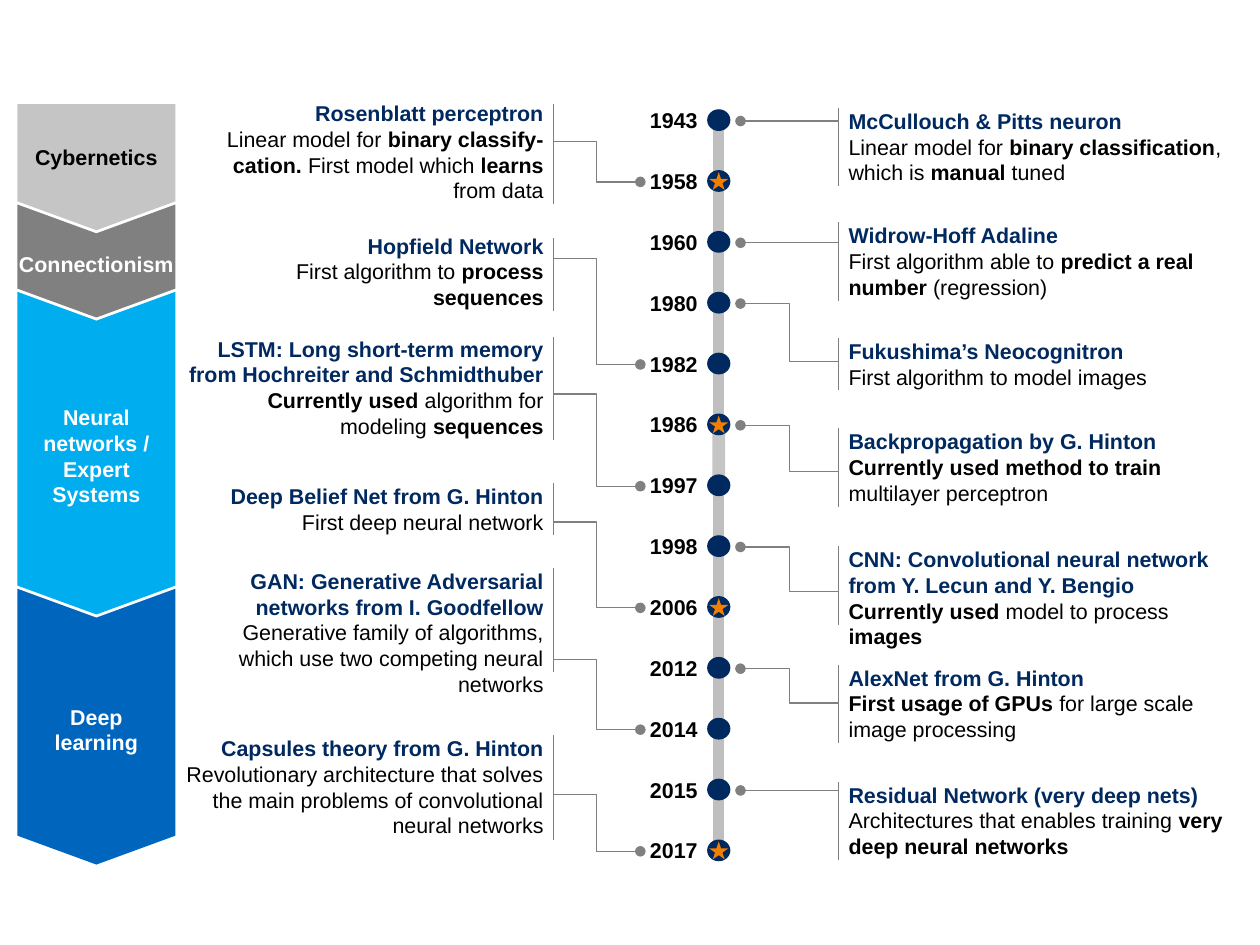
from collections import namedtuple
from dataclasses import dataclass

import lxml.etree
import pptx
import pptx.dml.color
import pptx.enum.shapes
import pptx.enum.text
import pptx.oxml.ns
import pptx.util

Pt = pptx.util.Pt
SHAPE = pptx.enum.shapes.MSO_SHAPE
CONNECTOR = pptx.enum.shapes.MSO_CONNECTOR
ALIGN = pptx.enum.text.PP_ALIGN
ANCHOR = pptx.enum.text.MSO_ANCHOR

Box = namedtuple("Box", "left top width height")
Stage = namedtuple("Stage", "name height fill color side_margin")
# top is measured from the region, exit (where the leader starts) from the entry;
# without an exit the leader runs straight to its year.
Entry = namedtuple("Entry", "year top rule_height exit rule_offset title body")


@dataclass(frozen=True)
class Theme:
    font: str = "Arial"
    size: float = 12
    navy: str = "002960"
    black: str = "000000"
    white: str = "FFFFFF"
    gray: str = "808080"
    silver: str = "C5C5C5"
    axis: str = "BFBFBF"
    cyan: str = "00ADEF"
    blue: str = "0065BD"
    orange: str = "F27F00"
    line: float = 0.75


THEME = Theme()
YEARS = [1943, 1958, 1960, 1980, 1982, 1986, 1997, 1998, 2006, 2012, 2014, 2015, 2017]
MILESTONES = {1958, 1986, 2006, 2017}
FIRST_YEAR, YEAR_STEP = 11.3, 34.08

STAGES = [
    Stage("Cybernetics", 56.2, THEME.silver, THEME.black, 6),
    Stage("Connectionism", 48.9, THEME.gray, THEME.white, 0),
    Stage("Neural networks / Expert Systems", 166.3, THEME.cyan, THEME.white, 6),
    Stage("Deep learning", 140.1, THEME.blue, THEME.white, 6),
]
LEFT_ENTRIES = [
    Entry(1958, 0.2, 56.2, 23, 2, "Rosenblatt perceptron",
          "Linear model for **binary classify-cation. **First model which **learns** from data"),
    Entry(1982, 74.3, 41, 14.4, 3, "Hopfield Network",
          "First algorithm to **process sequences**"),
    Entry(1997, 132, 57.6, 32.7, 0.6,
          "LSTM: Long short-term memory from Hochreiter and Schmidthuber",
          "**Currently used** algorithm for modeling **sequences**"),
    Entry(2006, 214.7, 28.8, 21.6, 0, "Deep Belief Net from G. Hinton",
          "First deep neural network"),
    Entry(2014, 262.2, 58.4, 51.2, 0,
          "GAN: Generative Adversarial networks from I. Goodfellow",
          "Generative family of algorithms, which use two competing neural networks"),
    Entry(2017, 355.8, 58.4, 33.2, 0, "Capsules theory from G. Hinton",
          "Revolutionary architecture that solves the main problems of convolutional "
          "neural networks"),
]
RIGHT_ENTRIES = [
    Entry(1943, 4.5, 43.9, None, 0, "McCullouch & Pitts neuron",
          "Linear model for **binary classification**, which is **manual** tuned"),
    Entry(1960, 68.6, 43.9, None, 0, "Widrow-Hoff Adaline",
          "First algorithm able to **predict a real number** (regression)"),
    Entry(1980, 133.4, 28.8, 12.9, 0, "Fukushima’s Neocognitron",
          "First algorithm to model images"),
    Entry(1986, 183.8, 43.9, 24.4, 0, "Backpropagation by G. Hinton",
          "**Currently used method to train** multilayer perceptron"),
    Entry(1998, 250, 43.9, 25.2, 0,
          "CNN: Convolutional neural network from Y. Lecun and Y. Bengio",
          "**Currently used** model to process **images**"),
    Entry(2012, 316.2, 43.9, 21.6, 0, "AlexNet from G. Hinton",
          "**First usage of GPUs** for large scale image processing"),
    Entry(2015, 381.8, 43.9, None, 0, "Residual Network (very deep nets)",
          "Architectures that enables training **very deep neural networks**"),
]


def rgb(value):
    return pptx.dml.color.RGBColor.from_string(value)


def year_offset(year):
    return FIRST_YEAR + YEARS.index(year) * YEAR_STEP


def write_text(paragraph, text, color=THEME.black, bold=False, align=ALIGN.LEFT):
    """Fill a paragraph; each ** in the text switches bold on or off."""
    paragraph.alignment = align
    for index, part in enumerate(text.split("**")):
        if part:
            run = paragraph.add_run()
            run.text = part
            run.font.name, run.font.size = THEME.font, Pt(THEME.size)
            run.font.bold = bold != (index % 2 == 1)
            run.font.color.rgb = rgb(color)


def set_frame(shape, left=0, top=0, right=0, bottom=0, wrap=True, anchor=ANCHOR.TOP):
    frame = shape.text_frame
    frame.margin_left, frame.margin_top = Pt(left), Pt(top)
    frame.margin_right, frame.margin_bottom = Pt(right), Pt(bottom)
    frame.word_wrap, frame.vertical_anchor = wrap, anchor
    return frame


def add_text_box(slide, box):
    return slide.shapes.add_textbox(*map(Pt, box))


def paint(shape, fill, line=None):
    shape.shadow.inherit = False
    shape.fill.solid()
    shape.fill.fore_color.rgb = rgb(fill)
    if line:
        shape.line.color.rgb = rgb(line)
        shape.line.width = Pt(THEME.line)
    else:
        shape.line.fill.background()


def add_centered(slide, kind, x, y, width, height, fill, line=None):
    box = (x - width / 2, y - height / 2, width, height)
    paint(slide.shapes.add_shape(kind, *map(Pt, box)), fill, line)


def add_line(slide, start, end, kind=CONNECTOR.STRAIGHT, oval_end=False):
    connector = slide.shapes.add_connector(kind, *map(Pt, (*start, *end)))
    connector.line.color.rgb = rgb(THEME.gray)
    connector.line.width = Pt(THEME.line)
    qualified = pptx.oxml.ns.qn
    properties = connector.element.find(qualified("p:spPr"))
    if oval_end:
        outline = properties.find(qualified("a:ln"))
        lxml.etree.SubElement(outline, qualified("a:tailEnd"), type="oval")
    lxml.etree.SubElement(properties, qualified("a:effectLst"))


def add_stages(slide, box):
    """Stack the eras as interlocking downward chevrons."""
    depth, gap = 16.2, 1.8
    right, middle, top = box.left + box.width, box.left + box.width / 2, box.top
    for index, stage in enumerate(STAGES):
        bottom = top + stage.height - gap
        notch = top + depth if index else top
        outline = [(right, top), (right, bottom), (middle, bottom + depth),
                   (box.left, bottom), (box.left, top), (middle, notch)]
        points = [(Pt(x), Pt(y)) for x, y in outline]
        builder = slide.shapes.build_freeform(*points[0])
        builder.add_line_segments(points[1:], close=True)
        chevron = builder.convert_to_shape()
        paint(chevron, stage.fill)
        frame = set_frame(chevron, stage.side_margin, 3 if index else 0, stage.side_margin,
                          0 if index else 11.5, anchor=ANCHOR.MIDDLE)
        write_text(frame.paragraphs[0], stage.name, stage.color, True, ALIGN.CENTER)
        top += stage.height


def add_timeline(slide, box):
    """Draw the axis with its years, dots and milestone stars."""
    center = box.left + box.width - 8
    span = YEAR_STEP * (len(YEARS) - 1)
    add_centered(slide, SHAPE.RECTANGLE, center, box.top + FIRST_YEAR + span / 2,
                 7.2, span + 5, THEME.axis, THEME.white)
    between = (year_offset(1986) + year_offset(1997)) / 2
    add_centered(slide, SHAPE.RECTANGLE, center, box.top + between, 7.2, 27.4, THEME.silver)
    for year in YEARS:
        y = box.top + year_offset(year)
        label = add_text_box(slide, Box(box.left, y - 7.2, 27, 14.4))
        write_text(set_frame(label, wrap=False).paragraphs[0], str(year), bold=True)
        add_centered(slide, SHAPE.OVAL, center, y, 13, 12.2, THEME.navy)
        if year in MILESTONES:
            add_centered(slide, SHAPE.STAR_5_POINT, center, y, 10.8, 10, THEME.orange)


def add_entries(slide, box, entries, rule_x, leader_end, align):
    """Place texts in the box, each with a side rule and a leader to its year."""
    for entry in entries:
        top = box.top + entry.top
        text_box = add_text_box(slide, Box(box.left, top, box.width, entry.rule_height))
        frame = set_frame(text_box)
        write_text(frame.paragraphs[0], entry.title, THEME.navy, True, align)
        write_text(frame.add_paragraph(), entry.body, align=align)
        rule_top = top + entry.rule_offset
        add_line(slide, (rule_x, rule_top), (rule_x, rule_top + entry.rule_height))
        year_y = box.top + year_offset(entry.year) + 0.5
        straight = entry.exit is None
        start_y = year_y if straight else top + entry.exit
        kind = CONNECTOR.STRAIGHT if straight else CONNECTOR.ELBOW
        add_line(slide, (rule_x, start_y), (leader_end, year_y), kind, oval_end=True)


def main():
    presentation = pptx.Presentation()
    presentation.slide_width, presentation.slide_height = Pt(705.6), Pt(529.2)
    slide = presentation.slides.add_slide(presentation.slide_layouts[6])
    add_stages(slide, Box(9.7, 58.3, 88.6, 427))
    add_timeline(slide, Box(364, 56, 46.5, 432))
    add_entries(slide, Box(103.5, 56, 201, 432), LEFT_ENTRIES, 309.8, 358.6, ALIGN.RIGHT)
    add_entries(slide, Box(475.2, 56, 210.2, 432), RIGHT_ENTRIES, 469.4, 414.7, ALIGN.LEFT)
    presentation.save("out.pptx")


if __name__ == "__main__":
    main()
